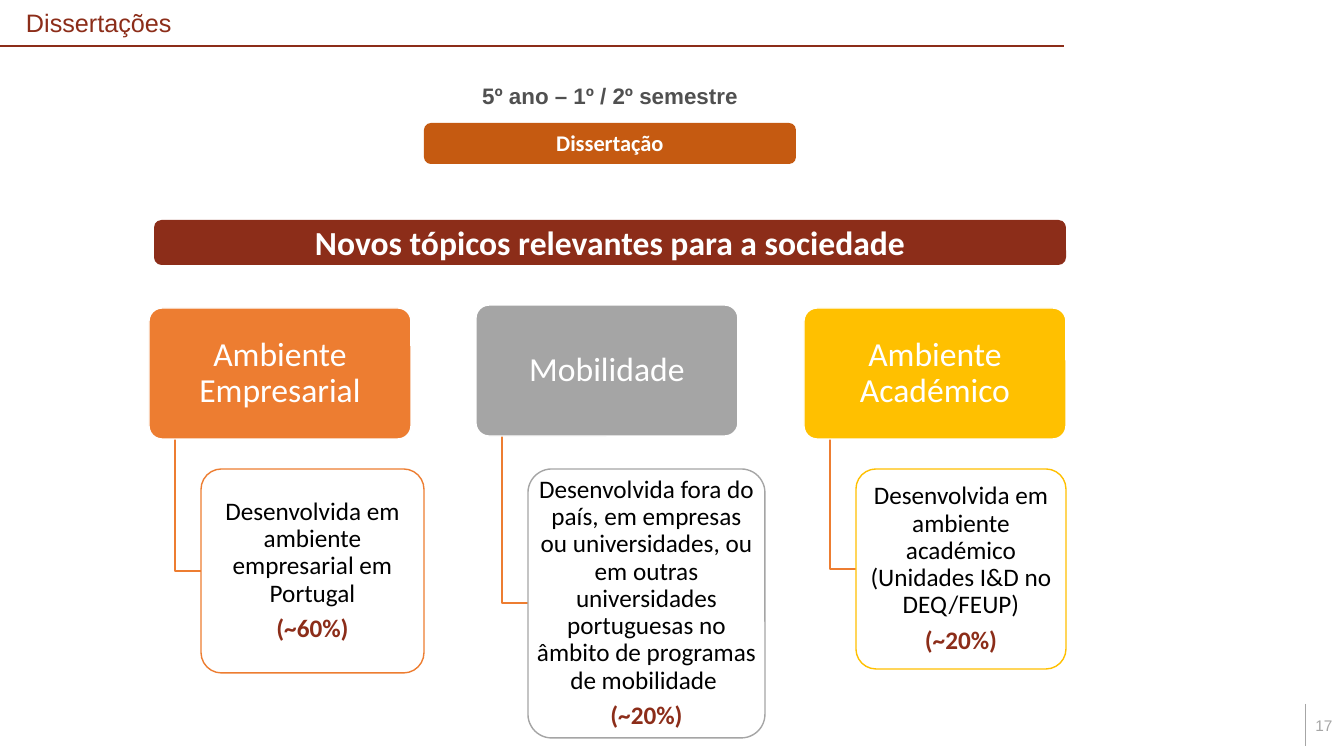
from lxml.etree import SubElement
from pptx import Presentation
from pptx.dml.color import RGBColor
from pptx.enum.shapes import MSO_CONNECTOR, MSO_SHAPE
from pptx.enum.text import MSO_ANCHOR as Anchor, PP_ALIGN as Align
from pptx.oxml.ns import qn
from pptx.util import Emu, Pt

PX = 914400 / 100.8
RED, ORANGE, GREY, YELLOW = "8C2D19", "ED7D31", "A5A5A5", "FFC000"
LIGHT_GREY, WHITE = "A6A6A6", "FFFFFF"


def px(*lengths):
    return [Emu(round(length * PX)) for length in lengths]


def write(shape, lines, anchor=Anchor.MIDDLE, inset=(10, 5), align=Align.CENTER,
          spacing=None, after=0):
    """Fill a shape with (text, font, size, colour, bold) lines."""
    frame = shape.text_frame
    frame.word_wrap = True
    frame.vertical_anchor = anchor
    frame.margin_left, frame.margin_top = px(*inset)
    frame.margin_right, frame.margin_bottom = px(*inset)
    for index, (text, font, size, color, bold) in enumerate(lines):
        para = frame.add_paragraph() if index else frame.paragraphs[0]
        para.text = text
        para.alignment = align
        para.line_spacing = spacing
        para.space_before, para.space_after = Pt(0), Pt(after)
        para.font.name, para.font.size, para.font.bold = font, Pt(size), bold
        para.font.color.rgb = RGBColor.from_string(color)


deck = Presentation()
deck.slide_width, deck.slide_height = px(1344, 756)
page = deck.slides.add_slide(deck.slide_layouts[5])
shapes = page.shapes

# Title
title = shapes.title
title.left, title.top, title.width, title.height = px(16, 4, 1210, 40)
write(title, [("Dissertações", "Arial", 18, RED, False)], align=Align.LEFT, spacing=0.9)

# Rules beside the title and the page number
for ends, color, weight in [
    ((0, 46, 1064, 46), RED, 1.5),
    ((1305, 704, 1305, 746), LIGHT_GREY, 0.5),
]:
    rule = shapes.add_connector(MSO_CONNECTOR.STRAIGHT, *px(*ends))
    rule.line.color.rgb = RGBColor.from_string(color)
    rule.line.width = Pt(weight)
    SubElement(rule._element.spPr, qn("a:effectLst"))

# Page number and semester
number = shapes.add_textbox(*px(1304, 711, 40, 29))
write(number, [("17", "Arial", 11, LIGHT_GREY, False)], Anchor.TOP)
semester = shapes.add_textbox(*px(424, 65, 372, 49))
write(semester, [("5º ano – 1º / 2º semestre", "Arial", 16, "505050", True)],
      Anchor.TOP, spacing=Pt(28))

# Banners: box, fill, text, size, anchor, inset
banners = [
    ((424, 123, 372, 41), "C55A11", "Dissertação", 16, Anchor.TOP, (10, 4)),
    ((154, 220, 912, 45), RED, "Novos tópicos relevantes para a sociedade", 24,
     Anchor.MIDDLE, (0, 0)),
]
for box, color, text, size, anchor, inset in banners:
    banner = shapes.add_shape(MSO_SHAPE.ROUNDED_RECTANGLE, *px(*box))
    banner.shadow.inherit = False
    banner.fill.solid()
    banner.fill.fore_color.rgb = RGBColor.from_string(color)
    banner.line.fill.background()
    write(banner, [(text, "Calibri", size, WHITE, True)], anchor, inset)

# Branches: heading, colour, heading top, detail size, detail, share
branches = [
    ("Ambiente Empresarial", ORANGE, 308, (223, 204),
     "Desenvolvida em ambiente empresarial em Portugal", "(~60%)"),
    ("Mobilidade", GREY, 305, (237, 269),
     "Desenvolvida fora do país, em empresas ou universidades, ou em outras "
     "universidades portuguesas no âmbito de programas de mobilidade ", "(~20%)"),
    ("Ambiente Académico", YELLOW, 308, (210, 200),
     "Desenvolvida em ambiente académico (Unidades I&D no DEQ/FEUP)", "(~20%)"),
]
HEAD_WIDTH, HEAD_HEIGHT, DETAIL_TOP = 262, 131, 469
for column, (heading, color, top, (width, height), detail, share) in enumerate(branches):
    left = 149 + column * 655 // 2
    stem, detail_left = left + 26, left + 52
    bottom, middle = top + HEAD_HEIGHT, DETAIL_TOP + height // 2

    # Elbow from the heading to its detail
    pen = shapes.build_freeform(stem, bottom, scale=PX)
    pen.add_line_segments([(stem, middle), (detail_left, middle)], close=False)
    elbow = pen.convert_to_shape()
    elbow.shadow.inherit = False
    elbow.fill.background()
    elbow.line.color.rgb = RGBColor.from_string(ORANGE)
    elbow.line.width = Pt(1)

    # Heading and detail boxes; the rounded corners add to the small insets
    for box, fill, line, lines, inset, after in [
        ((left, top, HEAD_WIDTH, HEAD_HEIGHT), color, WHITE,
         [(heading, "Calibri", 24, WHITE, False)], (8, 6), 8),
        ((detail_left, DETAIL_TOP, width, height), WHITE, color,
         [(detail, "Calibri", 18, "000000", False),
          (share, "Calibri", 18, RED, True)], (1, 1), 6),
    ]:
        card = shapes.add_shape(MSO_SHAPE.ROUNDED_RECTANGLE, *px(*box))
        card.adjustments[0] = 0.1
        card.shadow.inherit = False
        card.fill.solid()
        card.fill.fore_color.rgb = RGBColor.from_string(fill)
        card.line.color.rgb = RGBColor.from_string(line)
        card.line.width = Pt(1)
        write(card, lines, inset=inset, spacing=0.9, after=after)

deck.save("out.pptx")
